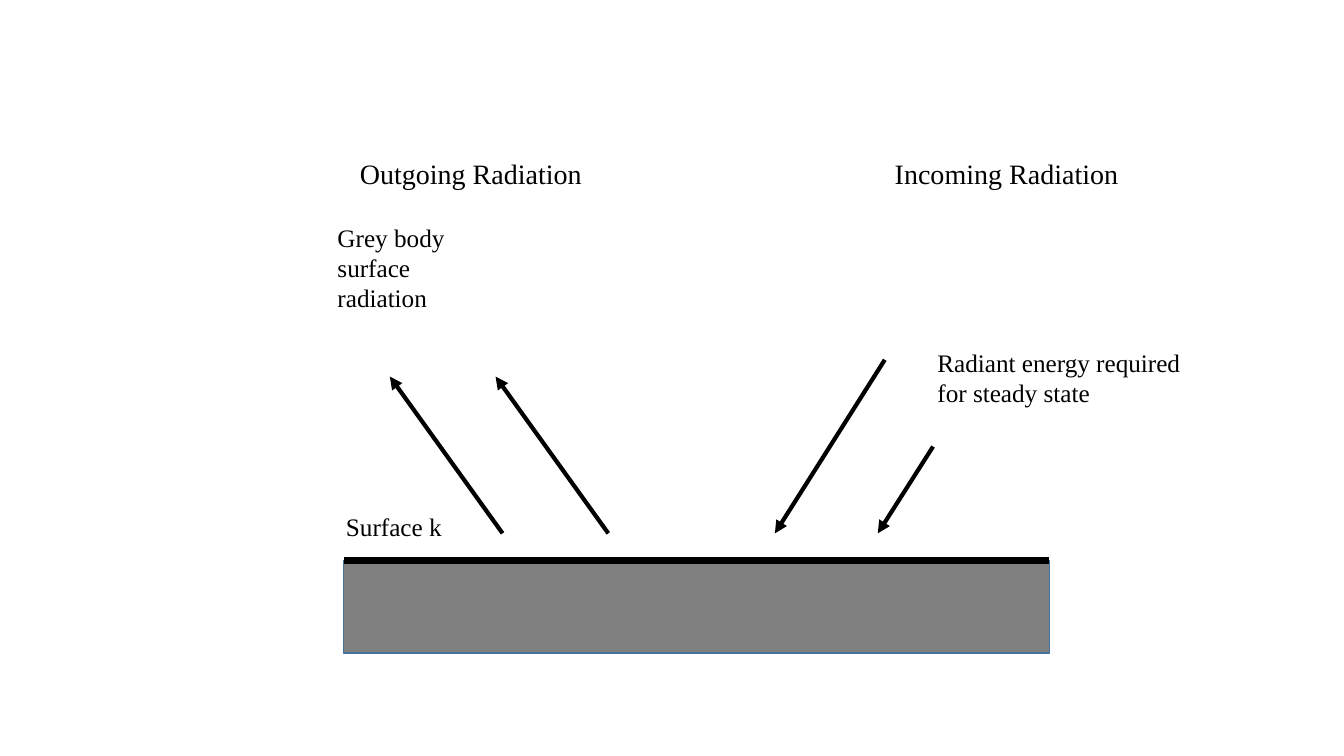
from pptx import Presentation
from pptx.dml.color import RGBColor
from pptx.enum.shapes import MSO_CONNECTOR, MSO_SHAPE
from pptx.enum.text import MSO_AUTO_SIZE
from pptx.oxml.ns import qn
from pptx.util import Pt
from lxml.etree import SubElement

BLACK = RGBColor(0x00, 0x00, 0x00)
GREY = RGBColor(0x80, 0x80, 0x80)
BLUE = RGBColor(0x43, 0x73, 0x9E)
FONT = "Times New Roman"

deck = Presentation()
deck.slide_width, deck.slide_height = Pt(960), Pt(540)
slide = deck.slides.add_slide(deck.slide_layouts[6])
shapes = slide.shapes


def add_text(text, left, top, width, height, size=18, wrap=True):
    box = shapes.add_textbox(Pt(left), Pt(top), Pt(width), Pt(height))
    frame = box.text_frame
    frame.word_wrap = wrap
    frame.auto_size = MSO_AUTO_SIZE.SHAPE_TO_FIT_TEXT
    run = frame.paragraphs[0].add_run()
    run.text = text
    run.font.name = FONT
    run.font.size = Pt(size)
    run.font.color.rgb = BLACK


def add_line(start, end, weight, arrow=True):
    line = shapes.add_connector(MSO_CONNECTOR.STRAIGHT, *map(Pt, start + end))
    line.line.color.rgb = BLACK
    line.line.width = Pt(weight)
    props = line._element.spPr
    if arrow:
        SubElement(props.find(qn("a:ln")), qn("a:tailEnd"), type="triangle")
    SubElement(props, qn("a:effectLst"))


# Surface slab with its heavy top edge
left, top, width = 245.5, 400.5, 504
slab = shapes.add_shape(MSO_SHAPE.RECTANGLE, Pt(left), Pt(top), Pt(width), Pt(66))
slab.shadow.inherit = False
slab.fill.solid()
slab.fill.fore_color.rgb = GREY
slab.line.color.rgb = BLUE
slab.line.width = Pt(1)
add_line((left, top), (left + width, top), 5, arrow=False)

# Headings
for title, x in (("Outgoing Radiation", 250), ("Incoming Radiation", 632)):
    add_text(title, x, 108, 175, 31.5, size=20, wrap=False)

# Labels
add_text("Radiant energy required for steady state", 662.5, 244.5, 201.5, 51)
add_text("Grey body surface radiation", 234, 155, 124.5, 72.5)
add_text("Surface k", 240, 361.5, 93, 29)

# Radiation leaving and reaching the surface
base = 381
for x in (278.5, 354):
    add_line((x + 80.5, base), (x, 269), 3)
for x, y, foot in ((632, 257, 553.5), (666.5, 319, 627)):
    add_line((x, y), (foot, base), 3)

deck.save("out.pptx")
